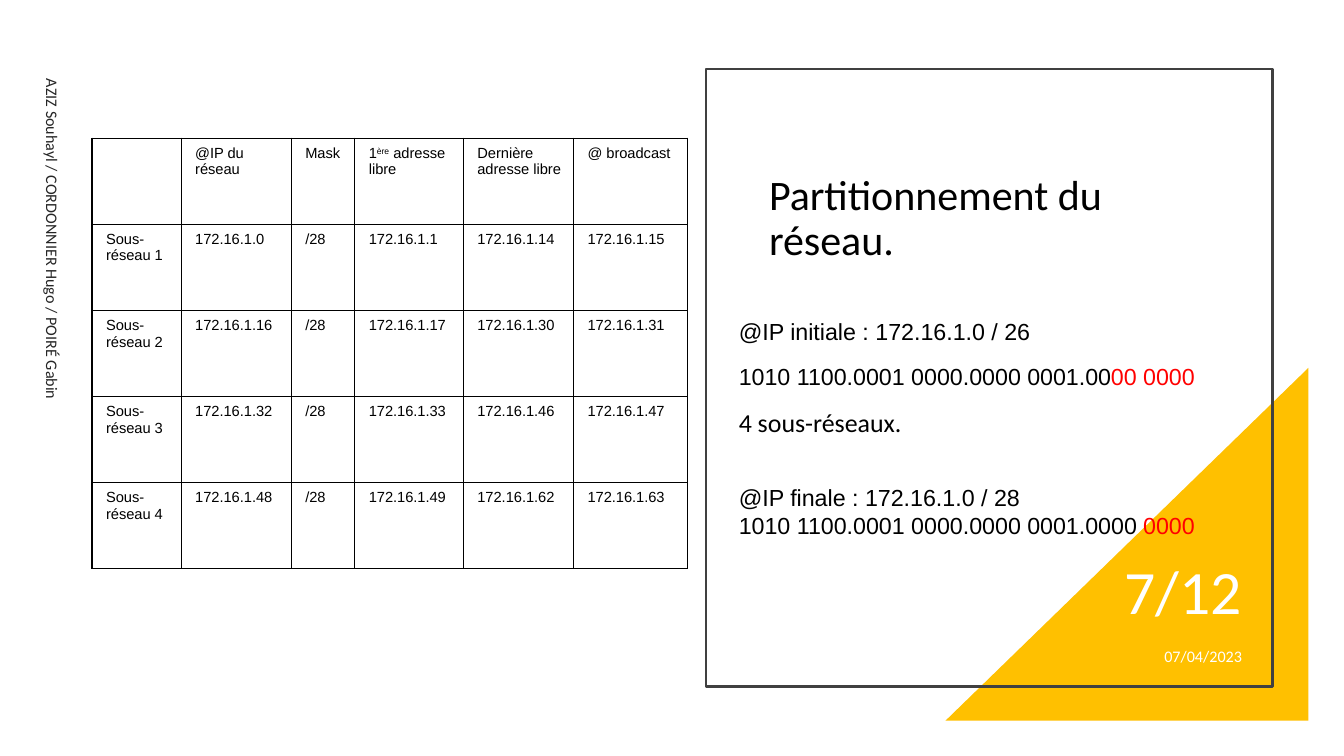
from lxml import etree
from pptx import Presentation
from pptx.dml.color import RGBColor
from pptx.enum.shapes import MSO_SHAPE
from pptx.enum.text import MSO_ANCHOR, PP_ALIGN
from pptx.oxml.ns import qn
from pptx.util import Pt

RECTANGLE = MSO_SHAPE.RECTANGLE
RIGHT_TRIANGLE = MSO_SHAPE.RIGHT_TRIANGLE
TOP, MIDDLE = MSO_ANCHOR.TOP, MSO_ANCHOR.MIDDLE
LEFT, RIGHT = PP_ALIGN.LEFT, PP_ALIGN.RIGHT

BLACK = RGBColor(0x00, 0x00, 0x00)
WHITE = RGBColor(0xFF, 0xFF, 0xFF)
RED = RGBColor(0xFF, 0x00, 0x00)
AMBER = RGBColor(0xFF, 0xC0, 0x00)
FRAME_GREY = RGBColor(0x40, 0x40, 0x40)
AUTHOR_GREY = RGBColor(0x26, 0x26, 0x26)

HEADINGS = ["", "@IP du réseau", "Mask", "1ère adresse libre",
            "Dernière adresse libre", "@ broadcast"]
ORDINAL = "ère"
COLUMN_WIDTHS = [63.7, 78.6, 45.4, 77.6, 78.7, 81.5]
ROW_HEIGHT = 61.5
CELL_INSET = 5.04
SUBNET_COUNT, SUBNET_SIZE = 4, 16


def add_run(paragraph, text, size, font="Calibri", color=BLACK):
    run = paragraph.add_run()
    run.text = text
    run.font.size = Pt(size)
    run.font.name = font
    run.font.color.rgb = color
    return run


def add_text_frame(slide, left, top, width, height, anchor=TOP, rotation=0):
    box = slide.shapes.add_textbox(Pt(left), Pt(top), Pt(width), Pt(height))
    box.rotation = rotation
    box.text_frame.word_wrap = True
    box.text_frame.vertical_anchor = anchor
    return box.text_frame


def add_label(slide, bounds, text, size, color, anchor=MIDDLE,
              align=LEFT, line_spacing=1.0, rotation=0):
    """Add a text box holding one paragraph in one style."""
    paragraph = add_text_frame(slide, *bounds, anchor, rotation).paragraphs[0]
    paragraph.alignment = align
    paragraph.line_spacing = line_spacing
    add_run(paragraph, text, size, color=color)


def add_corner_triangle(slide):
    triangle = slide.shapes.add_shape(
        RIGHT_TRIANGLE, Pt(675.4), Pt(262.8), Pt(259.2), Pt(252))
    triangle.shadow.inherit = False
    triangle.fill.solid()
    triangle.fill.fore_color.rgb = AMBER
    triangle.line.fill.background()
    triangle.element.spPr.find(qn("a:xfrm")).set("flipH", "1")


def add_frame(slide):
    frame = slide.shapes.add_shape(
        RECTANGLE, Pt(504), Pt(49), Pt(405), Pt(441.4))
    frame.shadow.inherit = False
    frame.fill.background()
    frame.line.color.rgb = FRAME_GREY
    frame.line.width = Pt(1.5)


def add_addressing(slide):
    """Add the initial and final addresses, with the host bits in red."""
    frame = add_text_frame(slide, 520.6, 223.2, 375.8, 154.1)
    # Network part, host bits, size, font, space before, space after
    lines = [
        ("@IP initiale : 172.16.1.0 / 26", "", 16.6, "Arial", 0, 12),
        ("1010 1100.0001 0000.0000 0001.00", "00 0000", 16.6, "Arial", 0, 12),
        ("4 sous-réseaux.", "", 18.5, "Calibri", 0, 12),
        ("@IP finale : 172.16.1.0 / 28", "", 16.6, "Arial", 20.25, 0),
        ("1010 1100.0001 0000.0000 0001.0000 ", "0000", 16.6, "Arial", 0, 0),
    ]
    for index, (network, host, size, font, before, after) in enumerate(lines):
        paragraph = frame.add_paragraph() if index else frame.paragraphs[0]
        paragraph.space_before = Pt(before)
        paragraph.space_after = Pt(after)
        add_run(paragraph, network, size, font)
        if host:
            add_run(paragraph, host, size, font, RED)


def set_borders(cell, bottom_width):
    properties = cell._tc.get_or_add_tcPr()
    widths = {"a:lnL": 1, "a:lnR": 1, "a:lnT": 1, "a:lnB": bottom_width}
    for side, width in widths.items():
        line = etree.SubElement(properties, qn(side), w=str(Pt(width)))
        fill = etree.SubElement(line, qn("a:solidFill"))
        etree.SubElement(fill, qn("a:srgbClr"), val=str(BLACK))


def fill_cell(cell, text):
    """Write the text, raising the ordinal ending where there is one."""
    cell.margin_left = cell.margin_right = Pt(CELL_INSET)
    cell.margin_top = cell.margin_bottom = Pt(CELL_INSET)
    paragraph = cell.text_frame.paragraphs[0]
    paragraph._p.get_or_add_pPr().set("marL", str(Pt(CELL_INSET)))
    if text.startswith("1" + ORDINAL):
        pieces = ["1", ORDINAL, text[1 + len(ORDINAL):]]
    else:
        pieces = [text] if text else []
    for piece in pieces:
        run = add_run(paragraph, piece, 10.5, "Arial")
        if piece == ORDINAL:
            run._r.get_or_add_rPr().set("baseline", "30000")


def subnet_row(index):
    """Return the row of one /28 subnet, counted from zero."""
    start = index * SUBNET_SIZE
    network, first, last, broadcast = (
        f"172.16.1.{start + offset}"
        for offset in (0, 1, SUBNET_SIZE - 2, SUBNET_SIZE - 1))
    return [f"Sous-réseau {index + 1}", network, "/28", first, last, broadcast]


def add_subnet_table(slide):
    rows = [HEADINGS] + [subnet_row(index) for index in range(SUBNET_COUNT)]
    table = slide.shapes.add_table(
        len(rows), len(HEADINGS), Pt(65.7), Pt(98.8),
        Pt(sum(COLUMN_WIDTHS)), Pt(ROW_HEIGHT * len(rows))).table
    table.first_row = False
    table.horz_banding = False
    for column, width in zip(table.columns, COLUMN_WIDTHS):
        column.width = Pt(width)
    for row_index, texts in enumerate(rows):
        table.rows[row_index].height = Pt(ROW_HEIGHT)
        bottom_width = 0.75 if row_index == len(rows) - 1 else 1
        for column_index, text in enumerate(texts):
            cell = table.cell(row_index, column_index)
            set_borders(cell, bottom_width)
            cell.fill.background()
            fill_cell(cell, text)


def main():
    presentation = Presentation()
    presentation.slide_width = Pt(960)
    presentation.slide_height = Pt(540)
    slide = presentation.slides.add_slide(presentation.slide_layouts[6])

    add_corner_triangle(slide)
    add_frame(slide)
    add_label(slide, (542.2, 93.6, 331.9, 126), "Partitionnement du réseau.",
              30, BLACK, line_spacing=0.9)
    add_label(slide, (-187.2, 255.6, 441.4, 28.8),
              "AZIZ Souhayl / CORDONNIER Hugo / POIRÉ Gabin",
              11.5, AUTHOR_GREY, anchor=TOP, rotation=90)
    add_addressing(slide)
    add_label(slide, (708.5, 454.3, 185.8, 28.8), "07/04/2023",
              11.5, WHITE, align=RIGHT)
    add_label(slide, (762.5, 385.2, 131.8, 79.2), "7/12",
              44, WHITE, align=RIGHT, line_spacing=0.9)
    add_subnet_table(slide)

    presentation.save("out.pptx")


if __name__ == "__main__":
    main()
